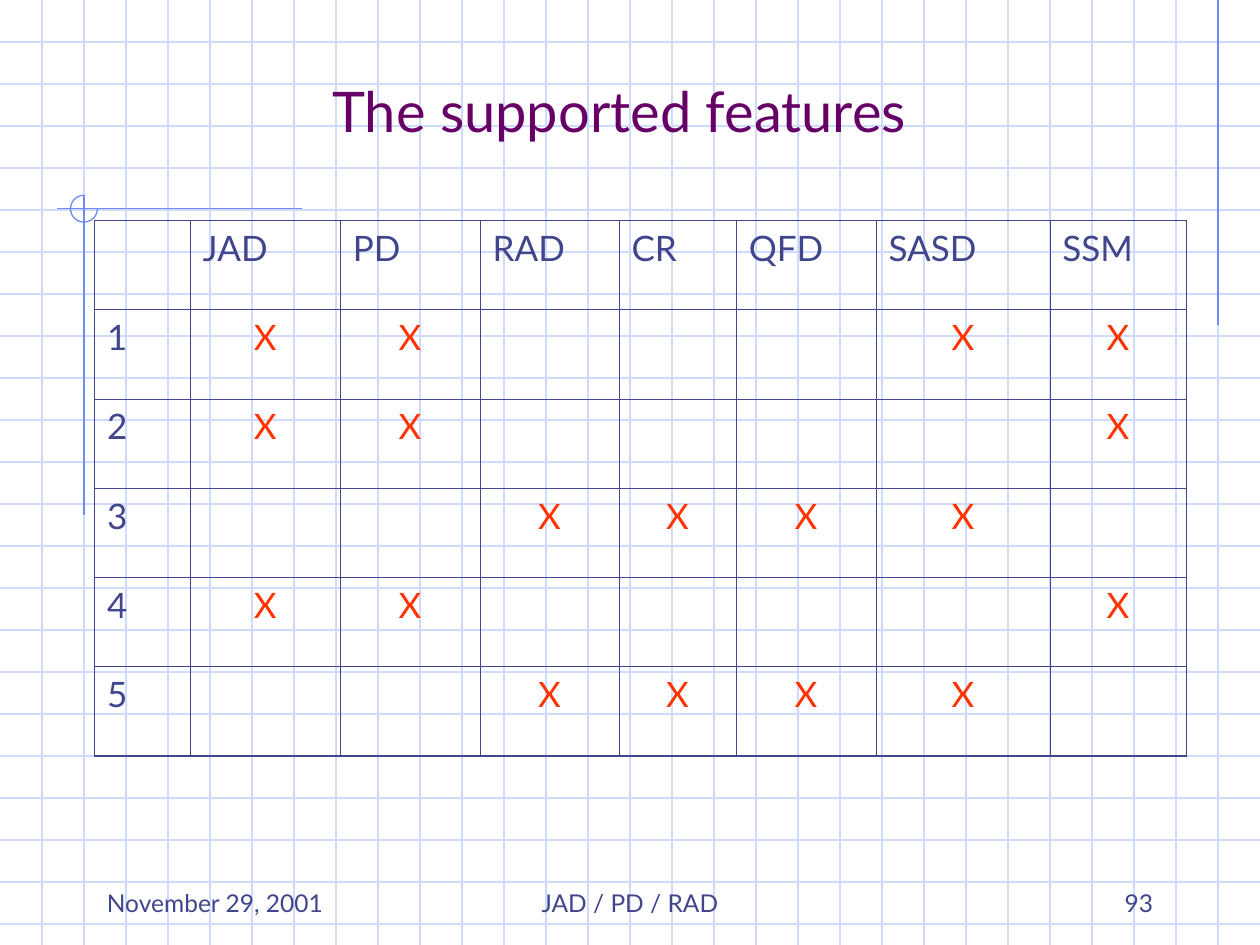
from dataclasses import dataclass
from typing import Any

from lxml.etree import SubElement
from pptx import Presentation
from pptx.dml.color import RGBColor
from pptx.enum.shapes import MSO_CONNECTOR, MSO_SHAPE
from pptx.enum.text import MSO_ANCHOR as Anchor, PP_ALIGN as Align
from pptx.oxml.ns import qn
from pptx.util import Inches, Pt

COLS, ROWS = 30, 22.5
HEADER = ["", "JAD", "PD", "RAD", "CR", "QFD", "SASD", "SSM"]
SUPPORT = [
    {"JAD", "PD", "SASD", "SSM"},
    {"JAD", "PD", "SSM"},
    {"RAD", "CR", "QFD", "SASD"},
    {"JAD", "PD", "SSM"},
    {"RAD", "CR", "QFD", "SASD"},
]
WIDTHS = [2.28, 3.57, 3.33, 3.31, 2.79, 3.33, 4.14, 3.25]


def unit(n):
    """Turn a number of grid squares, three to the inch, into a length."""
    return Inches(n / 3)


def rgb(value):
    """Turn a hex string into a colour."""
    return RGBColor.from_string(value)


def write(tf, text, font="Lato", size=20, color="40458C", align=Align.LEFT):
    """Put one formatted paragraph into a text frame."""
    p = tf.paragraphs[0]
    p.alignment = align
    r = p.add_run()
    r.text = text
    r.font.name, r.font.size = font, Pt(size)
    r.font.color.rgb = rgb(color)


@dataclass
class Deck:
    """Hold the style and the current slide."""

    s: Any
    ink: str = "40458C"
    paper_line: str = "CFDBFD"
    accent: str = "6F89F7"
    mark: str = "FF3300"
    title: str = "660066"

    def line(self, x1, y1, x2, y2, color):
        """Draw a thin straight line between two grid points."""
        c = self.s.shapes.add_connector(
            MSO_CONNECTOR.STRAIGHT, unit(x1), unit(y1), unit(x2), unit(y2))
        c.line.color.rgb = rgb(color)
        c.line.width = Pt(0.75)
        SubElement(c._element.spPr, qn("a:effectLst"))

    def paper(self):
        """Rule the slide as squared paper."""
        for y in range(1, int(ROWS) + 1):
            self.line(0, y, COLS, y, self.paper_line)
        for x in range(1, COLS):
            self.line(x, 0, x, ROWS, self.paper_line)

    def arc(self, cx, cy, radius):
        """Draw three quarters of a circle, open at the top right."""
        sp = self.s.shapes.add_shape(
            MSO_SHAPE.ARC, unit(cx - radius), unit(cy - radius),
            unit(2 * radius), unit(2 * radius))
        sp.adjustments[0], sp.adjustments[1] = 0, 270 * 0.6
        sp.shadow.inherit = False
        sp.fill.background()
        sp.line.color.rgb = rgb(self.accent)
        sp.line.width = Pt(0.75)

    def text(self, x, y, w, h, text, anchor=Anchor.BOTTOM, **fmt):
        """Add a wrapped text box."""
        tf = self.s.shapes.add_textbox(unit(x), unit(y), unit(w), unit(h)).text_frame
        tf.word_wrap = True
        tf.vertical_anchor = anchor
        write(tf, text, **fmt)

    def border(self, cell, edges):
        """Set the border widths of a cell, given by side."""
        pr = cell._tc.get_or_add_tcPr()
        for i, (side, width) in enumerate(edges.items()):
            ln = pr.makeelement(qn(f"a:ln{side}"), w=str(Pt(width)))
            fill = SubElement(ln, qn("a:solidFill"))
            SubElement(fill, qn("a:srgbClr"), val=self.ink)
            pr.insert(i, ln)

    def table(self, x, y, widths, height, rows):
        """Add an unfilled table with a heavier frame and centred marks."""
        n, m = len(rows), len(widths)
        table = self.s.shapes.add_table(
            n, m, unit(x), unit(y), unit(sum(widths)), unit(height)).table
        table.first_row = table.horz_banding = False
        for col, w in zip(table.columns, widths):
            col.width = unit(w)
        for i, row in enumerate(rows):
            table.rows[i].height = unit(height / n)
            for j, value in enumerate(row):
                cell = table.cell(i, j)
                cell.fill.background()
                outer = {"L": j == 0, "R": j == m - 1, "T": i == 0, "B": i == n - 1}
                self.border(cell, {k: 1.08 if v else 0.45 for k, v in outer.items()})
                if value == "X":
                    write(cell.text_frame, value, color=self.mark, align=Align.CENTER)
                elif value:
                    write(cell.text_frame, value, color=self.ink)


def main():
    """Build the slide and save it."""
    prs = Presentation()
    prs.slide_width, prs.slide_height = unit(COLS), unit(ROWS)
    deck = Deck(prs.slides.add_slide(prs.slide_layouts[6]))

    deck.paper()
    deck.line(29, 0, 29, 7.75, deck.accent)
    deck.line(7.2, 4.97, 1.35, 4.97, deck.accent)
    deck.line(2, 4.65, 2, 12.27, deck.accent)
    deck.arc(2, 4.97, 0.32)

    deck.text(2, 1, 25.5, 3.25, "The supported features", anchor=Anchor.MIDDLE,
              size=32, color=deck.title, align=Align.CENTER)
    marks = [[str(i)] + ["X" if name in used else "" for name in HEADER[1:]]
             for i, used in enumerate(SUPPORT, 1)]
    deck.table(2.25, 5.25, WIDTHS, 12.75, [HEADER] + marks)

    for x, w, text, align in [
        (2.25, 6.25, "November 29, 2001", Align.LEFT),
        (10.25, 9.5, "JAD / PD / RAD", Align.CENTER),
        (21.5, 6.25, "93", Align.RIGHT),
    ]:
        deck.text(x, 20.75, w, 1.25, text, size=14, color=deck.ink, align=align)
    prs.save("out.pptx")


if __name__ == "__main__":
    main()
